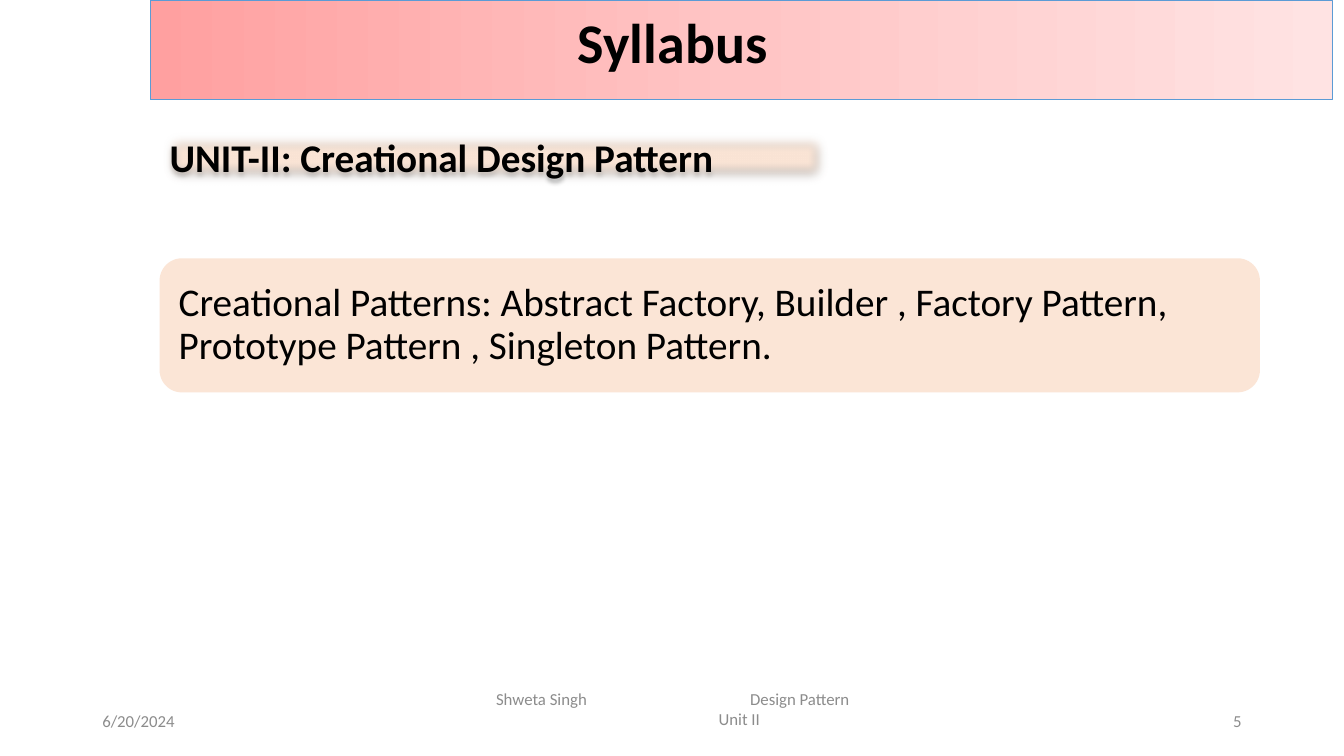
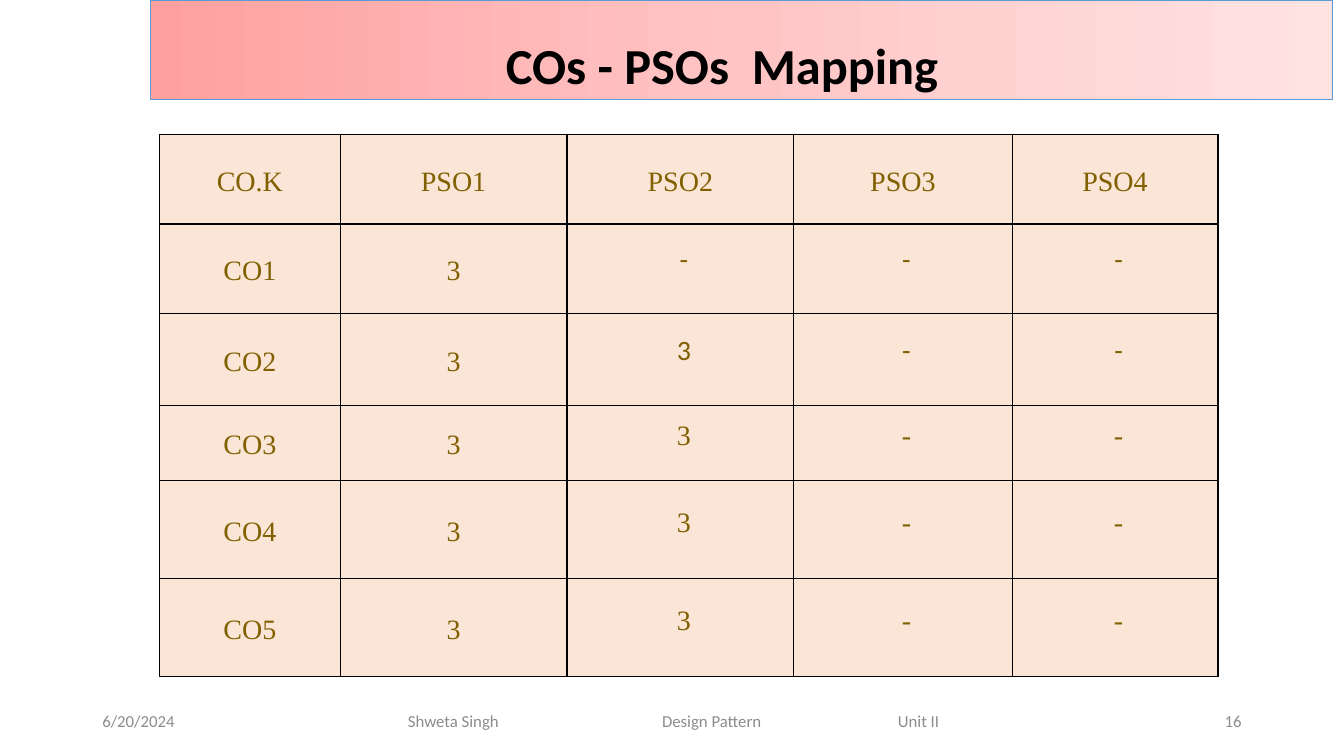
from copy import deepcopy

from pptx import Presentation
from pptx.dml.color import RGBColor
from pptx.enum.shapes import MSO_SHAPE as Shape
from pptx.enum.text import MSO_ANCHOR as Anchor, MSO_AUTO_SIZE as AutoSize, PP_ALIGN as Align
from pptx.oxml import parse_xml
from pptx.oxml.ns import nsdecls, qn
from pptx.util import Pt

# Content
SYLLABUS = {
    "title": "Syllabus", "title_box": (240.5, 2, 480, 55.5), "title_size": 40,
    "footer_box": (342, 492, 372, 28.8), "footer_inset": 12.3,
    "footer": [("Shweta Singh\tDesign Pattern", [181.5]), ("\tUnit II", [159])],
    "number": "5",
}
UNIT = "UNIT-II: Creational Design Pattern"
TOPICS = ("Creational Patterns: Abstract Factory, Builder , Factory Pattern, "
          "Prototype Pattern , Singleton Pattern.")
MAPPING = {
    "title": "COs - PSOs  Mapping", "title_box": (275.8, 21, 480, 51), "title_size": 36,
    "footer_box": (249.8, 500.5, 463.7, 28.8), "footer_inset": 41.6,
    "footer": [("Shweta Singh\tDesign Pattern\tUnit II", [181.5, 350])],
    "number": "16",
}
SCORES = [
    ["CO.K", "PSO1", "PSO2", "PSO3", "PSO4"],
    ["CO1", "3", "-", "-", "-"],
    ["CO2", "3", "3", "-", "-"],
    ["CO3", "3", "3", "-", "-"],
    ["CO4", "3", "3", "-", "-"],
    ["CO5", "3", "3", "-", "-"],
]
COLUMN_WIDTHS = [129, 162, 162, 156, 147]
ROW_HEIGHTS = [64, 64, 65.5, 54, 70, 70]
DATE = "6/20/2024"

# Shared style
COLORS = {"text": "000000", "muted": "8C8C8C", "peach": "FBE5D6", "gold": "806000",
          "band_line": "5B9BD5"}
BAND_STOPS = [(0, "FFA0A0"), (0.5, "FFC5C5"), (1, "FFE3E3")]
SANS, SERIF = "Calibri", "Times New Roman"
LEFT = 114


def color(name):
    return RGBColor.from_string(COLORS[name])


def place(shape, box):
    shape.left, shape.top, shape.width, shape.height = map(Pt, box)


def style(para, size, tone="text", font=SANS, bold=False, align=Align.LEFT):
    para.alignment = align
    para.font.size, para.font.name, para.font.bold = Pt(size), font, bold
    para.font.color.rgb = color(tone)


def add_panel(page, kind, box, text, bold=False):
    panel = page.shapes.add_shape(kind, *map(Pt, box))
    panel.shadow.inherit = False
    panel.fill.solid()
    panel.fill.fore_color.rgb = color("peach")
    panel.line.fill.background()
    panel.text_frame.word_wrap = True
    panel.text_frame.text = text
    style(panel.text_frame.paragraphs[0], 28, bold=bold)
    return panel


def add_band(page):
    band = page.shapes.add_shape(Shape.RECTANGLE, *map(Pt, (107.3, 0, 844.6, 71.3)))
    band.shadow.inherit = False
    band.fill.gradient()
    band.fill.gradient_angle = 0
    stop_list = band.element.spPr.find(qn("a:gradFill")).find(qn("a:gsLst"))
    stop_list.append(deepcopy(stop_list[0]))
    for stop, (position, tint) in zip(band.fill.gradient_stops, BAND_STOPS):
        stop.position = position
        stop.color.rgb = RGBColor.from_string(tint)
    band.line.color.rgb = color("band_line")
    band.line.width = Pt(0.5)
    return band


def add_footer_text(page, box, lines, align=Align.LEFT, inset=7.2):
    """Each line is a text and the tab stops it uses, in points."""
    frame = page.shapes.add_textbox(*map(Pt, box)).text_frame
    frame.word_wrap = True
    frame.vertical_anchor = Anchor.MIDDLE
    frame.margin_left = Pt(inset)
    for index, (text, stops) in enumerate(lines):
        para = frame.add_paragraph() if index else frame.paragraphs[0]
        para.text = text
        if stops:
            tabs = "".join(f'<a:tab pos="{Pt(stop)}" algn="l"/>' for stop in stops)
            para._p.get_or_add_pPr().append(
                parse_xml(f'<a:tabLst {nsdecls("a")}>{tabs}</a:tabLst>'))
        style(para, 12, "muted", align=align)


def add_page(deck, content):
    page = deck.slides.add_slide(deck.slide_layouts[5])
    title = page.shapes.title
    title.element.addprevious(add_band(page).element)
    place(title, content["title_box"])
    frame = title.text_frame
    frame.text = content["title"]
    frame.word_wrap = True
    frame.auto_size = AutoSize.NONE
    frame.vertical_anchor = Anchor.TOP
    style(frame.paragraphs[0], content["title_size"], bold=True, align=Align.CENTER)
    add_footer_text(page, (66, 500.5, 216, 28.8), [(DATE, [])])
    add_footer_text(page, content["footer_box"], content["footer"], inset=content["footer_inset"])
    add_footer_text(page, (678, 500.5, 216, 28.8), [(content["number"], [])], Align.RIGHT)
    return page


def add_soft_shadow(shape):
    effects = shape.element.spPr.find(qn("a:effectLst"))
    effects.append(parse_xml(
        f'<a:outerShdw {nsdecls("a")} blurRad="{Pt(3.1)}" dist="{Pt(1.8)}" dir="5400000">'
        '<a:srgbClr val="000000"><a:alpha val="35000"/></a:srgbClr></a:outerShdw>'))
    effects.append(parse_xml(f'<a:softEdge {nsdecls("a")} rad="112500"/>'))


def format_cell(cell, row, column):
    properties = cell._tc.get_or_add_tcPr()
    for side in ("lnL", "lnR", "lnT", "lnB"):
        properties.append(parse_xml(
            f'<a:{side} {nsdecls("a")} w="{Pt(1)}"><a:solidFill>'
            f'<a:srgbClr val="{COLORS["text"]}"/></a:solidFill></a:{side}>'))
    cell.fill.solid()
    cell.fill.fore_color.rgb = color("peach")
    cell.vertical_anchor = Anchor.MIDDLE
    cell.margin_left = cell.margin_right = Pt(5)
    cell.margin_top = cell.margin_bottom = 0
    para = cell.text_frame.paragraphs[0]
    is_score = row > 0 and column > 1
    if is_score:
        para._p.get_or_add_pPr().set("marL", str(Pt(5)))
    para.line_spacing = Pt(12.3) if is_score else 1.15
    font = SANS if is_score and row < 3 else SERIF
    style(para, 20, "gold", font, align=Align.CENTER)


def add_score_table(page):
    box = (LEFT, 96, sum(COLUMN_WIDTHS), sum(ROW_HEIGHTS))
    table = page.shapes.add_table(len(SCORES), len(SCORES[0]), *map(Pt, box)).table
    for column, width in zip(table.columns, COLUMN_WIDTHS):
        column.width = Pt(width)
    for row, height in zip(table.rows, ROW_HEIGHTS):
        row.height = Pt(height)
    for row, values in enumerate(SCORES):
        for column, value in enumerate(values):
            cell = table.cell(row, column)
            cell.text = value
            format_cell(cell, row, column)


def main():
    deck = Presentation()
    deck.slide_width, deck.slide_height = Pt(960), Pt(540)

    # Syllabus
    page = add_page(deck, SYLLABUS)
    heading = add_panel(page, Shape.RECTANGLE, (LEFT, 91.5, 480, 41), UNIT, bold=True)
    heading.text_frame.vertical_anchor = Anchor.TOP
    add_soft_shadow(heading)
    topics = add_panel(page, Shape.ROUNDED_RECTANGLE, (LEFT, 184.5, 786, 95.8), TOPICS)
    topics.text_frame.vertical_anchor = Anchor.MIDDLE
    topics.text_frame.margin_left = topics.text_frame.margin_right = Pt(9)
    topics.text_frame.paragraphs[0].line_spacing = 0.9

    # Outcome mapping
    add_score_table(add_page(deck, MAPPING))

    deck.save("out.pptx")


if __name__ == "__main__":
    main()
